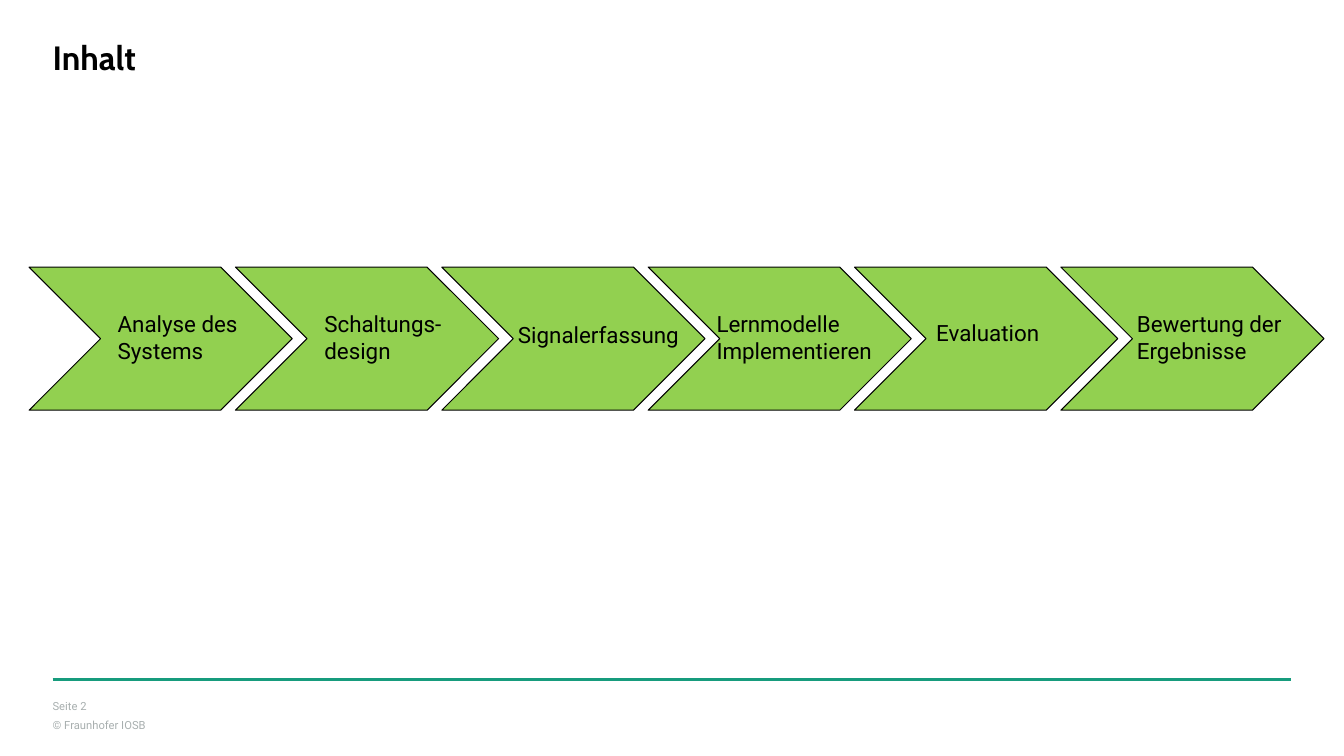
from dataclasses import dataclass

from pptx import Presentation
from pptx.dml.color import RGBColor
from pptx.enum import shapes, text
from pptx.oxml import parse_xml
from pptx.oxml.ns import nsdecls
from pptx.util import Pt

COLORS = {"black": "000000", "step": "92D050", "rule": "179C7D", "footer": "A8AFAF"}
MARGIN_LEFT = 37.6
STEP_LEFT, STEP_TOP, STEP_PITCH = 20.8, 190.8, 147.4
STEP_WIDTH, STEP_HEIGHT = 188, 102.2


@dataclass(frozen=True)
class TextStyle:
    font: str
    size: float
    color: str
    bold: bool = False
    inset_x: float = 0
    inset_y: float = 0


@dataclass(frozen=True)
class Label:
    wording: str
    left: float
    top: float
    width: float
    height: float
    style: TextStyle


TITLE = TextStyle("Cabin", 24, "black", bold=True)
FOOTER = TextStyle("Roboto", 8, "footer")
STEP = TextStyle("Roboto", 16, "black", inset_x=7.2, inset_y=3.6)

STEP_LABELS = [
    Label("Analyse des Systems", 77, 218.2, 124.6, 46, STEP),
    Label("Schaltungs-design", 224.6, 218.2, 104.4, 46, STEP),
    Label("Signalerfassung", 362.9, 226.1, 150.5, 26.6, STEP),
    Label("Lernmodelle Implementieren", 504.7, 218.2, 145.4, 46, STEP),
    Label("Evaluation", 661.7, 224.6, 120.2, 26.6, STEP),
    Label("Bewertung der Ergebnisse", 805, 218.2, 145.4, 46, STEP),
]
FRAME_LABELS = [
    Label("Inhalt", MARGIN_LEFT, 26.6, 884.2, 28.8, TITLE),
    Label("Seite 2", MARGIN_LEFT, 499.7, 141.8, 9.4, FOOTER),
    Label("© Fraunhofer IOSB", MARGIN_LEFT, 513.4, 141.8, 9.4, FOOTER),
]


def rgb(name: str) -> RGBColor:
    return RGBColor.from_string(COLORS[name])


def add_label(page, label: Label) -> None:
    style = label.style
    box = page.shapes.add_textbox(
        Pt(label.left), Pt(label.top), Pt(label.width), Pt(label.height))
    frame = box.text_frame
    frame.word_wrap = True
    frame.vertical_anchor = text.MSO_ANCHOR.TOP
    frame.margin_left = frame.margin_right = Pt(style.inset_x)
    frame.margin_top = frame.margin_bottom = Pt(style.inset_y)
    para = frame.paragraphs[0]
    para.text = label.wording
    para.font.name = style.font
    para.font.size = Pt(style.size)
    para.font.bold = style.bold
    para.font.color.rgb = rgb(style.color)


def add_step(page, index: int) -> None:
    chevron = page.shapes.add_shape(
        shapes.MSO_SHAPE.CHEVRON, Pt(STEP_LEFT + index * STEP_PITCH), Pt(STEP_TOP),
        Pt(STEP_WIDTH), Pt(STEP_HEIGHT))
    chevron.shadow.inherit = False
    chevron.fill.solid()
    chevron.fill.fore_color.rgb = rgb("step")
    chevron.line.color.rgb = rgb("black")
    chevron.line.width = Pt(0.75)


def add_footer_rule(page) -> None:
    rule = page.shapes.add_connector(
        shapes.MSO_CONNECTOR.STRAIGHT, Pt(MARGIN_LEFT), Pt(485.3), Pt(922.2), Pt(485.3))
    rule.line.color.rgb = rgb("rule")
    rule.line.width = Pt(2.5)
    rule._element.spPr.append(parse_xml(f"<a:effectLst {nsdecls('a')}/>"))


def main() -> None:
    deck = Presentation()
    deck.slide_width, deck.slide_height = Pt(960), Pt(540)
    page = deck.slides.add_slide(deck.slide_layouts[6])
    add_footer_rule(page)
    for index in range(len(STEP_LABELS)):
        add_step(page, index)
    for label in FRAME_LABELS + STEP_LABELS:
        add_label(page, label)
    deck.save("out.pptx")


if __name__ == "__main__":
    main()
